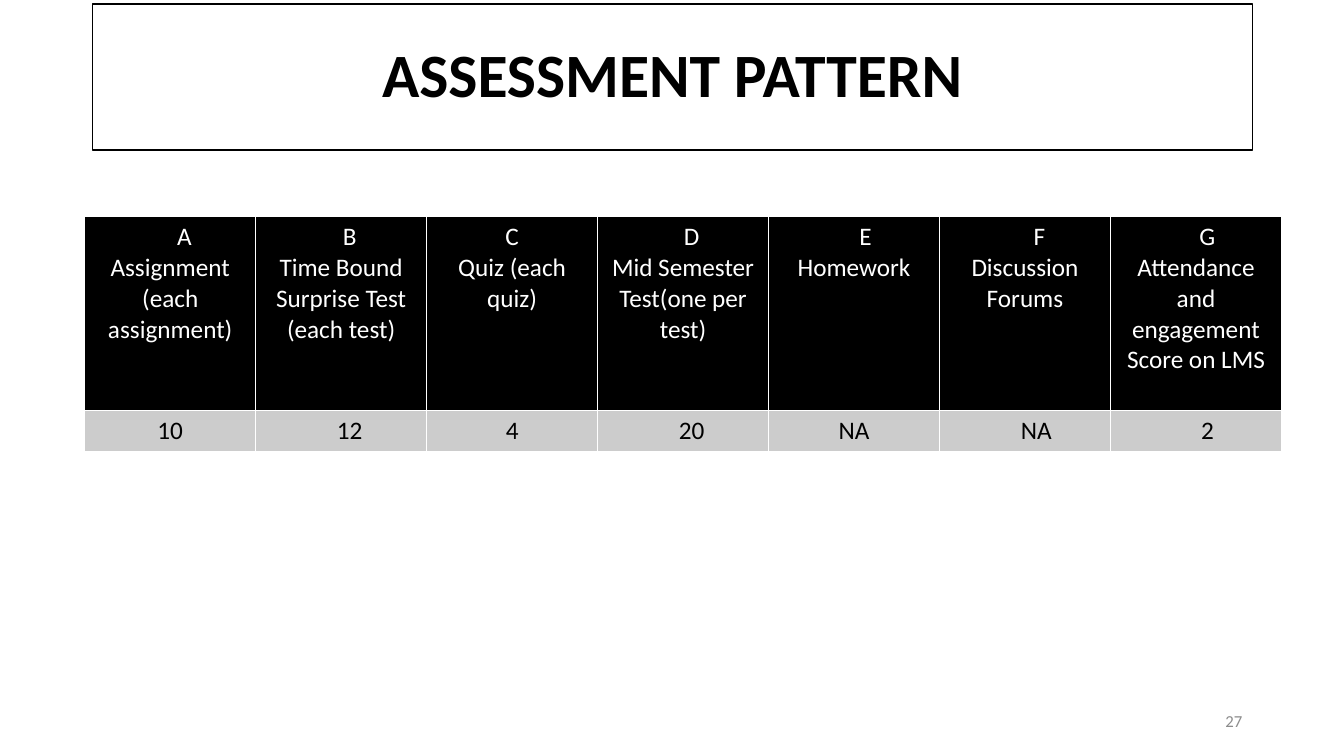
import dataclasses

import lxml.etree
import pptx
import pptx.dml.color
import pptx.enum.text
import pptx.oxml.ns
import pptx.util

Inches = pptx.util.Inches
Pt = pptx.util.Pt
RGB = pptx.dml.color.RGBColor.from_string
ALIGN = pptx.enum.text.PP_ALIGN
MIDDLE = pptx.enum.text.MSO_ANCHOR.MIDDLE
qn = pptx.oxml.ns.qn


@dataclasses.dataclass(frozen=True)
class Theme:
    font: str = "Calibri"
    dark: str = "000000"
    light: str = "FFFFFF"
    band: str = "CCCCCC"
    muted: str = "8C8C8C"
    title: int = 44
    body: int = 18
    small: int = 12


THEME = Theme()
INDENT_STEP = Pt(4.07)

COMPONENTS = [
    ("A", 5, "Assignment (each assignment)", "10", 0),
    ("B", 3, "Time Bound Surprise Test (each test)", "12", 3),
    ("C", 0, "Quiz (each quiz)", "4", 0),
    ("D", 3, "Mid Semester Test(one per test)", "20", 3),
    ("E", 4, "Homework", "NA", 0),
    ("F", 5, "Discussion Forums", "NA", 4),
    ("G", 4, "Attendance and engagement Score on LMS", "2", 4),
]


def write(p, text, size=THEME.body, color=THEME.dark, bold=False,
          align=ALIGN.CENTER, indent=0, spacing=None):
    if indent:
        p._p.get_or_add_pPr().set("marL", str(int(indent * INDENT_STEP)))
    p.alignment = align
    if spacing:
        p.line_spacing = spacing
    r = p.add_run()
    r.text = text
    r.font.name = THEME.font
    r.font.size = Pt(size)
    r.font.bold = bold
    r.font.color.rgb = RGB(color)


def place(sp, left, top, width, height):
    sp.left, sp.top = Inches(left), Inches(top)
    sp.width, sp.height = Inches(width), Inches(height)


def add_title(s, text, left, top, width, height):
    sp = s.shapes.title
    place(sp, left, top, width, height)
    sp.fill.solid()
    sp.fill.fore_color.rgb = RGB(THEME.light)
    sp.line.color.rgb = RGB(THEME.dark)
    sp.line.width = Pt(1)
    tf = sp.text_frame
    tf.word_wrap = True
    tf.vertical_anchor = MIDDLE
    write(tf.paragraphs[0], text, size=THEME.title, bold=True, spacing=0.9)


def add_page_number(s, text, left, top, width, height):
    sp = s.shapes.add_textbox(Inches(left), Inches(top), Inches(width), Inches(height))
    tf = sp.text_frame
    tf.word_wrap = True
    tf.vertical_anchor = MIDDLE
    write(tf.paragraphs[0], text, size=THEME.small, color=THEME.muted, align=ALIGN.RIGHT)


def style_cell(cell, fill):
    tcPr = cell._tc.get_or_add_tcPr()
    for side in ("a:lnL", "a:lnR", "a:lnT", "a:lnB"):
        ln = lxml.etree.SubElement(tcPr, qn(side), w=str(Pt(1)))
        solid = lxml.etree.SubElement(ln, qn("a:solidFill"))
        lxml.etree.SubElement(solid, qn("a:srgbClr"), val=THEME.light)
    cell.fill.solid()
    cell.fill.fore_color.rgb = RGB(fill)


def add_assessment_table(s, left, top, width, header_height, score_height):
    frame = s.shapes.add_table(2, len(COMPONENTS), Inches(left), Inches(top),
                               Inches(width), Inches(header_height + score_height))
    table = frame.table
    table.rows[0].height = Inches(header_height)
    table.rows[1].height = Inches(score_height)
    for i, (letter, letter_indent, name, score, score_indent) in enumerate(COMPONENTS):
        table.columns[i].width = Inches(width / len(COMPONENTS))
        header, value = table.cell(0, i), table.cell(1, i)
        style_cell(header, THEME.dark)
        style_cell(value, THEME.band)
        tf = header.text_frame
        write(tf.paragraphs[0], letter, color=THEME.light, indent=letter_indent)
        write(tf.add_paragraph(), name, color=THEME.light)
        write(value.text_frame.paragraphs[0], score, indent=score_indent)


def main():
    prs = pptx.Presentation()
    prs.slide_width, prs.slide_height = Inches(13.33), Inches(7.5)
    s = prs.slides.add_slide(prs.slide_layouts[5])
    add_title(s, "ASSESSMENT PATTERN", 0.92, 0.04, 11.5, 1.45)
    add_page_number(s, "27", 9.42, 6.95, 3, 0.4)
    add_assessment_table(s, 0.84, 2.15, 11.87, 1.92, 0.41)
    prs.save("out.pptx")


if __name__ == "__main__":
    main()
